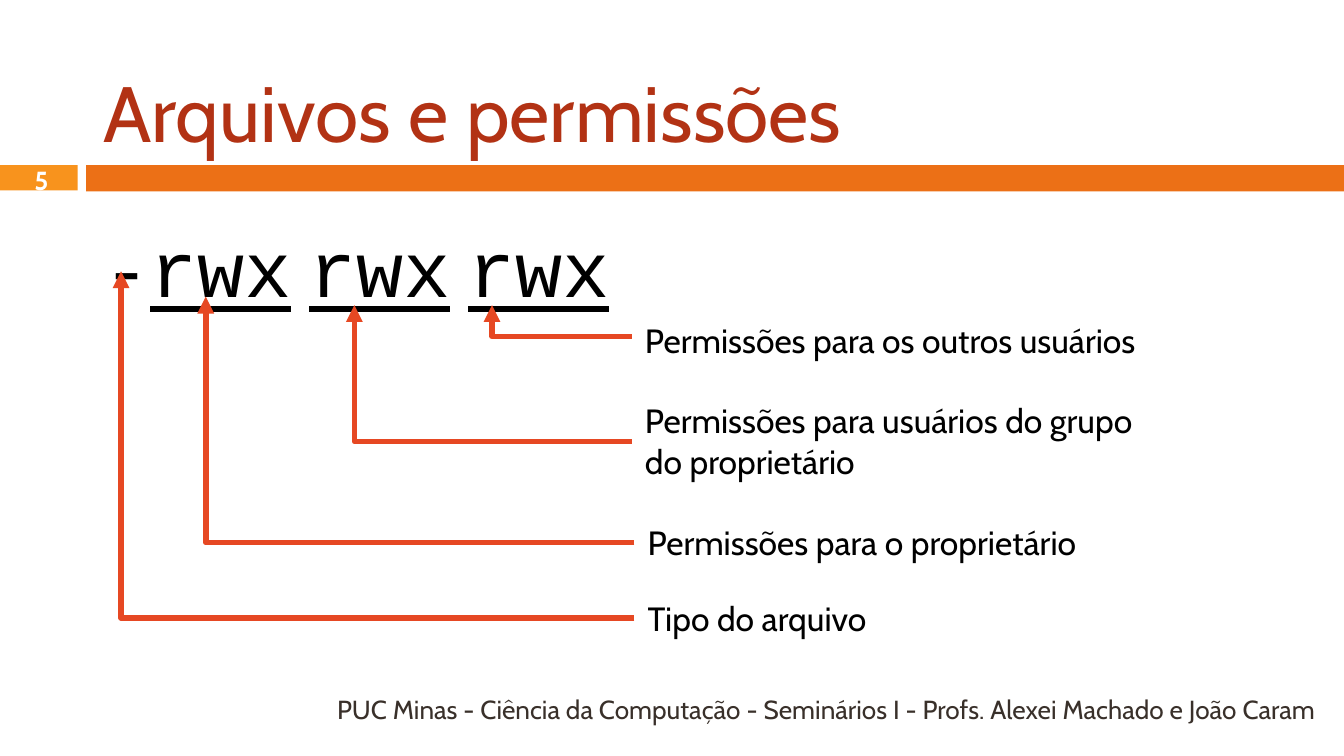
from lxml.etree import SubElement
from pptx import Presentation
from pptx.dml.color import RGBColor
from pptx.enum.shapes import MSO_CONNECTOR, MSO_SHAPE
from pptx.enum.text import MSO_ANCHOR, MSO_AUTO_SIZE, PP_ALIGN
from pptx.oxml.ns import qn
from pptx.util import Cm, Pt

AMBER = RGBColor(0xF8, 0x93, 0x1D)
ORANGE = RGBColor(0xEC, 0x70, 0x16)
RUST = RGBColor(0xB2, 0x32, 0x14)
ARROW_RED = RGBColor(0xE6, 0x48, 0x23)
BROWN = RGBColor(0x39, 0x30, 0x2A)
BLACK = RGBColor(0, 0, 0)
WHITE = RGBColor(0xFF, 0xFF, 0xFF)

MARGIN, CONTENT_WIDTH = 1.7, 23.42
BAR_TOP = 3.12


class SlideBuilder:
    font = "Cabin"
    code_font = "Courier New"
    large, medium, small = Pt(42), Pt(18), Pt(14)

    def __init__(self, slide):
        self.slide = slide

    def style(self, run, size, color, font=None):
        run.font.name = font or self.font
        run.font.size = size
        run.font.color.rgb = color

    def title(self, text, left, top, width, height):
        title = self.slide.shapes.title
        title.left, title.top = Cm(left), Cm(top)
        title.width, title.height = Cm(width), Cm(height)
        frame = title.text_frame
        frame.text = text
        frame.auto_size = MSO_AUTO_SIZE.NONE
        frame.vertical_anchor = MSO_ANCHOR.BOTTOM
        frame.paragraphs[0].alignment = PP_ALIGN.LEFT
        self.style(frame.paragraphs[0].runs[0], self.large, RUST)

    def bar(self, left, width, height, color):
        bar = self.slide.shapes.add_shape(
            MSO_SHAPE.RECTANGLE, Cm(left), Cm(BAR_TOP), Cm(width), Cm(height))
        bar.shadow.inherit = False
        bar.fill.solid()
        bar.fill.fore_color.rgb = color
        bar.line.fill.background()

    def frame(self, left, top, width, height, anchor=MSO_ANCHOR.TOP):
        box = self.slide.shapes.add_textbox(Cm(left), Cm(top), Cm(width), Cm(height))
        box.text_frame.word_wrap = True
        box.text_frame.vertical_anchor = anchor
        return box.text_frame

    def text(self, text, left, top, width, height, size, color,
             align=PP_ALIGN.LEFT, anchor=MSO_ANCHOR.TOP, bold=False):
        frame = self.frame(left, top, width, height, anchor)
        frame.text = text
        paragraph = frame.paragraphs[0]
        paragraph.alignment = align
        self.style(paragraph.runs[0], size, color)
        paragraph.runs[0].font.bold = bold

    def permission_string(self, file_type, groups, left, top, width, height):
        """Write the file type, then underlined groups parted by narrow spaces."""
        paragraph = self.frame(left, top, width, height).paragraphs[0]

        def add(text, size, underline=False):
            run = paragraph.add_run()
            run.text = text
            self.style(run, size, BLACK, self.code_font)
            run.font.underline = underline

        add(file_type, self.large)
        for index, group in enumerate(groups):
            if index:
                add(" ", Pt(16))
            add(group, self.large, underline=True)

    def elbow_arrow(self, start_x, start_y, tip_x, tip_y):
        """Run level from the start to below the tip, then straight up."""
        arrow = self.slide.shapes.add_connector(
            MSO_CONNECTOR.ELBOW, Cm(start_x), Cm(start_y), Cm(tip_x), Cm(tip_y))
        arrow.line.color.rgb = ARROW_RED
        arrow.line.width = Pt(3)
        properties = arrow._element.spPr
        bend = properties.find(qn("a:prstGeom")).get_or_add_avLst()
        SubElement(bend, qn("a:gd"), name="adj1", fmla="val 100000")
        SubElement(properties.find(qn("a:ln")), qn("a:tailEnd"), type="triangle")
        SubElement(properties, qn("a:effectLst"))


def main():
    presentation = Presentation()
    presentation.slide_width, presentation.slide_height = Cm(25.4), Cm(14.29)
    builder = SlideBuilder(presentation.slides.add_slide(presentation.slide_layouts[5]))

    builder.bar(0, 1.47, 0.48, AMBER)
    builder.bar(1.63, 23.77, 0.5, ORANGE)
    builder.title("Arquivos e permissões", MARGIN, 0.33, CONTENT_WIDTH, 2.79)
    builder.permission_string("-", ["rwx"] * 3, MARGIN, 4.01, CONTENT_WIDTH, 1.9)
    builder.text("5", 0.05, 3.15, 1.47, 0.51, builder.small, WHITE,
                 PP_ALIGN.CENTER, MSO_ANCHOR.MIDDLE, bold=True)
    builder.text("PUC Minas - Ciência da Computação - Seminários I - "
                 "Profs. Alexei Machado e João Caram",
                 MARGIN, 13.03, CONTENT_WIDTH, 0.76, builder.small, BROWN,
                 PP_ALIGN.RIGHT, MSO_ANCHOR.MIDDLE)

    # Meaning, label left, top and height, arrow start y, arrow tip x and y
    meanings = [
        ("Permissões para os outros usuários", 11.94, 5.92, 1.78, 6.36, 9.3, 5.77),
        ("Permissões para usuários do grupo do proprietário",
         11.94, 7.44, 1.78, 8.35, 6.7, 5.77),
        ("Permissões para o proprietário", 11.99, 9.75, 1.02, 10.26, 3.89, 5.61),
        ("Tipo do arquivo", 11.99, 11.18, 1.02, 11.68, 2.29, 5.13),
    ]
    for meaning, left, top, height, start_y, tip_x, tip_y in meanings:
        builder.text(meaning, left, top, 10.21, height, builder.medium, BLACK)
        builder.elbow_arrow(left, start_y, tip_x, tip_y)

    presentation.save("out.pptx")


if __name__ == "__main__":
    main()
